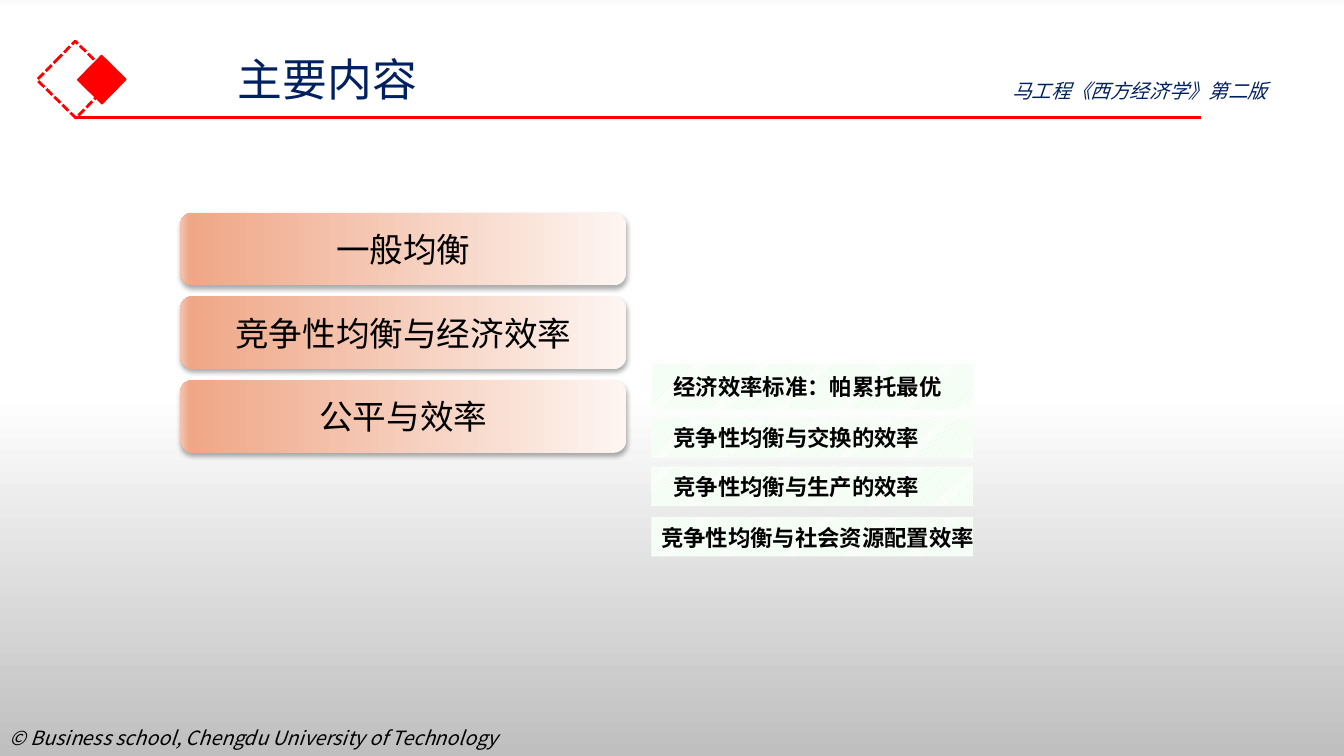
from lxml import etree
from pptx import Presentation
from pptx import util as u
from pptx.dml.color import RGBColor
from pptx.enum import dml, shapes, text
from pptx.oxml.ns import qn

PX = 9144
COLORS = {"red": "FF0000", "navy": "002060", "black": "000000", "mint": "CCFFCC", "white": "FFFFFF"}
SANS, LATIN = "Noto Sans CJK SC", "Calibri"

BACKDROP = [(0, "F9F9F9"), (1, "FFFFFF"), (52, "FFFFFF"), (100, "BFBFBF")]
PEACH = [(0, "FDF5F2"), (98, "EFA787"), (100, "F4C4AF")]

TITLE = ("主要内容", (226, 46, 496, 64), 32, "navy", False)
CAPTIONS = [
    ("© Business school, Chengdu University of Technology", (0, 715, 634, 56), 14, "black", True),
    ("马工程《西方经济学》第二版", (994, 73, 288, 57), 14, "navy", True),
]
CHAPTERS = ["一般均衡", "竞争性均衡与经济效率", "公平与效率"]
CHAPTER_BOX, CHAPTER_PITCH = (179, 211, 442, 72), 83
TOPICS = [
    ("经济效率标准：帕累托最优", 361, 46),
    ("竞争性均衡与交换的效率", 415, 39),
    ("竞争性均衡与生产的效率", 463, 39),
    ("", 513, 39),
]
TOPIC_LEFT, TOPIC_WIDTH = 646, 319
LAST_TOPIC = ("竞争性均衡与社会资源配置效率", (646, 515, 334, 37))


def px(*lengths):
    return [length * PX for length in lengths]


def color(name):
    return RGBColor.from_string(COLORS[name])


def write(box, words, size, ink="black", font=SANS, bold=False, italic=False,
          align=text.PP_ALIGN.LEFT, anchor=text.MSO_ANCHOR.TOP, wrap=True):
    frame = box.text_frame
    frame.auto_size = text.MSO_AUTO_SIZE.NONE
    frame.word_wrap = wrap
    frame.vertical_anchor = anchor
    para = frame.paragraphs[0]
    para.alignment = align
    span = para.add_run()
    span.text = words
    span.font.name, span.font.size = font, u.Pt(size)
    span.font.bold, span.font.italic = bold, italic
    span.font.color.rgb = color(ink)
    east = etree.SubElement(span.font._element, qn("a:ea"))
    east.set("typeface", SANS)


def paint_gradient(fill, parent, stops, angle):
    fill.gradient()
    grad = parent.find(".//" + qn("a:gradFill"))
    for child in list(grad):
        grad.remove(child)
    stop_list = etree.SubElement(grad, qn("a:gsLst"))
    for position, shade in stops:
        stop = etree.SubElement(stop_list, qn("a:gs"), pos=str(position * 1000))
        etree.SubElement(stop, qn("a:srgbClr"), val=shade)
    etree.SubElement(grad, qn("a:lin"), ang=str(angle * 60000), scaled="0")


def add_block(page, kind, box):
    block = page.shapes.add_shape(kind, *px(*box))
    block.shadow.inherit = False
    block.line.fill.background()
    return block


def add_diamond(page, box, weight):
    diamond = add_block(page, shapes.MSO_SHAPE.RECTANGLE, box)
    diamond.rotation = 314.5
    diamond.line.color.rgb = color("red")
    diamond.line.width = u.Pt(weight)
    return diamond


def add_header(page):
    outline = add_diamond(page, (48, 52, 54, 54), 2)
    outline.fill.background()
    outline.line.dash_style = dml.MSO_LINE.SQUARE_DOT
    outline._element.spPr.xfrm.set("flipV", "1")
    solid = add_diamond(page, (84, 62, 34, 34), 1)
    solid.fill.solid()
    solid.fill.fore_color.rgb = color("red")
    rule = page.shapes.add_connector(shapes.MSO_CONNECTOR.STRAIGHT, *px(75, 117, 1191, 117))
    rule.line.color.rgb = color("red")
    rule.line.width = u.Pt(2.25)
    etree.SubElement(rule._element.spPr, qn("a:effectLst"))


def add_chapter(page, words, index):
    left, top, width, height = CHAPTER_BOX
    box = (left, top + index * CHAPTER_PITCH, width, height)
    block = add_block(page, shapes.MSO_SHAPE.ROUNDED_RECTANGLE, box)
    properties = block._element.spPr
    paint_gradient(block.fill, properties, PEACH, 180)
    shadow = etree.SubElement(
        properties.find(qn("a:effectLst")), qn("a:outerShdw"),
        blurRad=str(u.Pt(3.5)), dist=str(u.Pt(2.2)), dir="5400000", rotWithShape="0")
    shade = etree.SubElement(shadow, qn("a:srgbClr"), val=COLORS["black"])
    etree.SubElement(shade, qn("a:alpha"), val="32000")
    write(block, words, 24, align=text.PP_ALIGN.CENTER, anchor=text.MSO_ANCHOR.MIDDLE)


def add_topic(page, words, top, height):
    block = add_block(page, shapes.MSO_SHAPE.RECTANGLE, (TOPIC_LEFT, top, TOPIC_WIDTH, height))
    block.fill.patterned()
    block.fill.pattern = dml.MSO_PATTERN.LIGHT_UPWARD_DIAGONAL
    block.fill.fore_color.rgb = color("mint")
    block.fill.back_color.rgb = color("white")
    if words:
        frame = block.text_frame
        frame.margin_left, frame.margin_right = px(22, 22)
        write(block, words, 16, font=LATIN, bold=True,
              align=text.PP_ALIGN.JUSTIFY, anchor=text.MSO_ANCHOR.MIDDLE)


def main():
    deck = Presentation()
    deck.slide_width, deck.slide_height = px(1333, 750)
    page = deck.slides.add_slide(deck.slide_layouts[5])
    paint_gradient(page.background.fill, page._element, BACKDROP, 90)

    words, box, size, ink, italic = TITLE
    title = page.shapes.title
    title.left, title.top, title.width, title.height = px(*box)
    write(title, words, size, ink, italic=italic)

    add_header(page)
    for words, box, size, ink, italic in CAPTIONS:
        write(page.shapes.add_textbox(*px(*box)), words, size, ink, italic=italic)
    for index, words in enumerate(CHAPTERS):
        add_chapter(page, words, index)
    for topic in TOPICS:
        add_topic(page, *topic)
    words, box = LAST_TOPIC
    write(page.shapes.add_textbox(*px(*box)), words, 16, font=LATIN, bold=True, wrap=False)

    deck.save("out.pptx")


if __name__ == "__main__":
    main()
